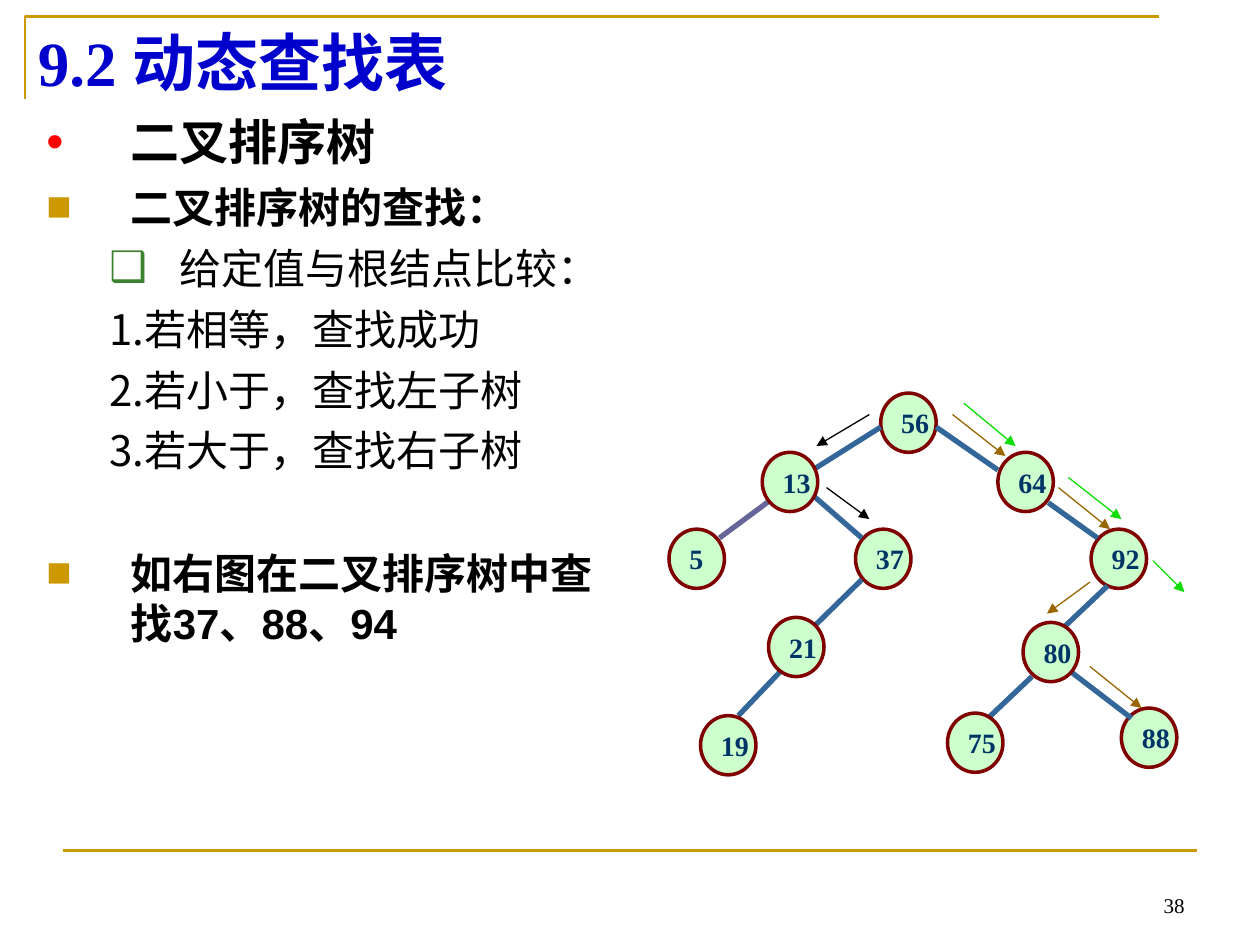
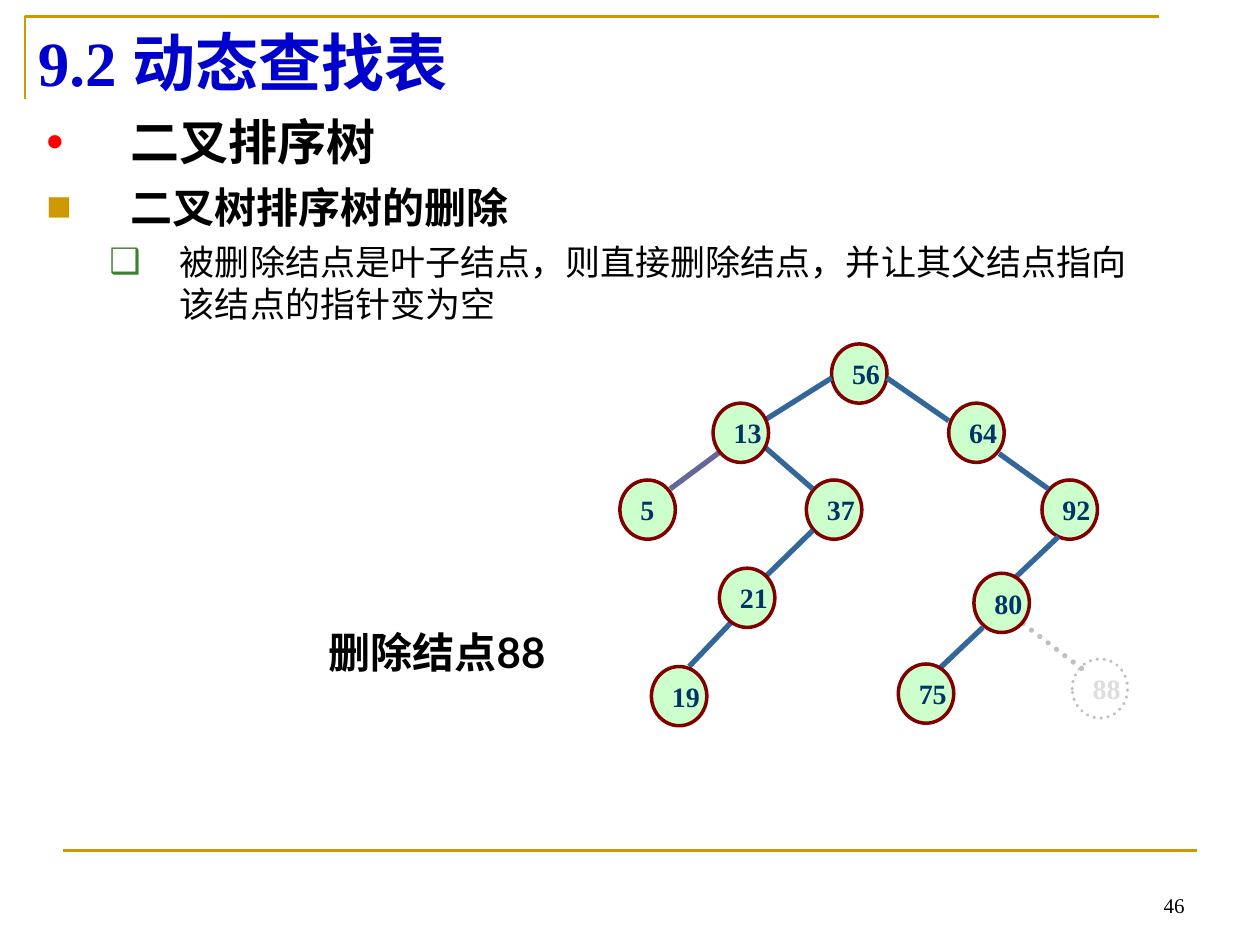
from dataclasses import dataclass

from lxml.etree import SubElement
from pptx import Presentation
from pptx.dml.color import RGBColor
from pptx.enum.dml import MSO_LINE
from pptx.enum.shapes import MSO_CONNECTOR, MSO_SHAPE
from pptx.enum.text import MSO_ANCHOR, PP_ALIGN
from pptx.oxml.ns import qn
from pptx.util import Inches, Pt

COLORS = {
    "gold": "CC9900", "title": "0000CC", "text": "000000", "red": "FF0000",
    "leaf": "3B812F", "node": "CCFFCC", "node_line": "800000",
    "key": "003366", "edge": "336699", "pale_edge": "666699",
    "removed": "C0C0C0", "removed_key": "DDDDDD", "white": "FFFFFF",
    "brown": "996600", "green": "0CDD07",
}
CJK, SERIF, SANS, LABEL = "Noto Sans CJK SC", "Times New Roman", "Arial", "Lato"
NODE_WIDTH, NODE_HEIGHT = 0.44, 0.47
REMOVED_KEY = "88"


@dataclass(frozen=True)
class TextStyle:
    size: int
    font: str = CJK
    bold: bool = True
    color: str = "text"


@dataclass(frozen=True)
class Bullet:
    mark: str
    color: str


@dataclass(frozen=True)
class Item:
    text: str
    style: TextStyle
    bullet: Bullet | None = None
    level: int = 0
    before: float = 6


@dataclass(frozen=True)
class Node:
    key: str
    left: float
    top: float
    over_edges: bool = False


@dataclass(frozen=True)
class Line:
    start: tuple[float, float]
    end: tuple[float, float]
    color: str = "edge"
    child: str = ""


TITLE = TextStyle(36, SERIF, color="title")
PAGE = TextStyle(12, SERIF, bold=False)
TOPIC, SECTION = TextStyle(28), TextStyle(24)
STEP, DETAIL = TextStyle(24, bold=False), TextStyle(20, bold=False)
DOT, SQUARE, BOX = Bullet("•", "red"), Bullet("■", "gold"), Bullet("❑", "leaf")
INDENTS = [(0.67, -0.67), (1.06, -0.56)]

NODES = [
    Node("56", 6.99, 3.12), Node("64", 7.92, 3.59), Node("5", 5.31, 4.2),
    Node("92", 8.66, 4.2), Node("37", 6.79, 4.2), Node("88", 8.9, 5.62),
    Node("19", 5.56, 5.68, True), Node("80", 8.12, 4.94, True),
    Node("21", 6.1, 4.9, True), Node("13", 6.05, 3.59, True),
    Node("75", 7.52, 5.66, True),
]
EDGES = [
    Line((6.99, 3.39), (6.45, 3.73)),
    Line((6.1, 3.98), (5.71, 4.27), "pale_edge"),
    Line((7.43, 3.39), (7.92, 3.73)),
    Line((6.45, 3.93), (6.84, 4.27)),
    Line((6.84, 4.6), (6.36, 5.07)),
    Line((8.32, 3.99), (8.71, 4.27)),
    Line((8.79, 4.65), (8.41, 5.01)),
    Line((8.51, 5.34), (8.98, 5.7), child="88"),
    Line((6.25, 5.27), (5.86, 5.68)),
    Line((8.19, 5.37), (7.81, 5.73)),
]
SEARCH_STEPS = [
    Line((6.9, 3.29), (6.48, 3.54), "text"),
    Line((6.56, 3.87), (6.9, 4.12), "text"),
    Line((7.56, 3.29), (7.98, 3.62), "brown"),
    Line((8.4, 3.87), (8.81, 4.2), "brown"),
    Line((8.65, 5.29), (9.06, 5.62), "brown"),
    Line((8.65, 4.62), (8.31, 4.87), "brown"),
    Line((7.65, 3.2), (8.06, 3.54), "green"),
    Line((8.48, 3.79), (8.9, 4.12), "green"),
    Line((9.15, 4.45), (9.4, 4.7), "green"),
]

SEARCH_ITEMS = [
    Item("二叉排序树", TOPIC, DOT),
    Item("二叉排序树的查找：", SECTION, SQUARE),
    Item("给定值与根结点比较：", STEP, BOX, 1),
    Item("1.若相等，查找成功", STEP, level=1),
    Item("2.若小于，查找左子树", STEP, level=1),
    Item("3.若大于，查找右子树", STEP, level=1),
    Item("如右图在二叉排序树中查找37、88、94", TextStyle(24, SANS), SQUARE, before=41),
]
DELETE_ITEMS = [
    Item("二叉排序树", TOPIC, DOT),
    Item("二叉树排序树的删除", SECTION, SQUARE),
    Item("被删除结点是叶子结点，则直接删除结点，并让其父结点指向该结点的指针变为空",
         DETAIL, BOX, 1, before=5),
]


def rgb(name: str) -> RGBColor:
    return RGBColor.from_string(COLORS[name])


def set_all(target, values: dict) -> None:
    for name, value in values.items():
        setattr(target, name, value)


def add_run(paragraph, text: str, style: TextStyle) -> None:
    run = paragraph.add_run()
    run.text = text
    set_all(run.font, {"size": Pt(style.size), "name": style.font, "bold": style.bold})
    run.font.color.rgb = rgb(style.color)
    east_asian = SubElement(run.font._element, qn("a:ea"))
    east_asian.set("typeface", CJK)


def add_box(slide, left: float, top: float, width: float, height: float,
            anchor=MSO_ANCHOR.TOP):
    frame = slide.shapes.add_textbox(
        Inches(left), Inches(top), Inches(width), Inches(height)).text_frame
    set_all(frame, {"word_wrap": True, "vertical_anchor": anchor})
    return frame


def set_bullet(paragraph, item: Item) -> None:
    left, first = INDENTS[item.level]
    properties = paragraph._p.get_or_add_pPr()
    properties.set("marL", str(Inches(left)))
    properties.set("indent", str(Inches(first)))
    if item.bullet is None:
        SubElement(properties, qn("a:buNone"))
        return
    color = SubElement(properties, qn("a:buClr"))
    SubElement(color, qn("a:srgbClr")).set("val", COLORS[item.bullet.color])
    SubElement(properties, qn("a:buFont")).set("typeface", SANS)
    SubElement(properties, qn("a:buChar")).set("char", item.bullet.mark)


def add_items(slide, items: list[Item], width: float, height: float) -> None:
    frame = add_box(slide, 0.27, 0.84, width, height)
    for index, item in enumerate(items):
        paragraph = frame.add_paragraph() if index else frame.paragraphs[0]
        set_bullet(paragraph, item)
        set_all(paragraph, {"level": item.level,
                            "space_before": Pt(item.before if index else 0),
                            "line_spacing": Pt(item.style.size * 1.2)})
        add_run(paragraph, item.text, item.style)


def add_line(slide, line: Line, width: float, shift: float = 0,
             arrow: bool = False, dotted: bool = False) -> None:
    ends = [Inches(value + shift) for value in (*line.start, *line.end)]
    connector = slide.shapes.add_connector(MSO_CONNECTOR.STRAIGHT, *ends)
    connector.line.width = Pt(width)
    connector.line.color.rgb = rgb("removed" if dotted else line.color)
    properties = connector._element.spPr
    if dotted:
        dot(connector)
    if arrow:
        SubElement(properties.find(qn("a:ln")), qn("a:tailEnd")).set("type", "triangle")
    SubElement(properties, qn("a:effectLst"))


def dot(shape) -> None:
    """Give the outline round dots."""
    shape.line.dash_style = MSO_LINE.ROUND_DOT
    shape._element.spPr.find(qn("a:ln")).set("cap", "rnd")


def add_node(slide, node: Node, shift: float, removed: bool) -> None:
    circle = slide.shapes.add_shape(
        MSO_SHAPE.OVAL, Inches(node.left + shift), Inches(node.top + shift),
        Inches(NODE_WIDTH), Inches(NODE_HEIGHT))
    circle.shadow.inherit = False
    circle.fill.solid()
    circle.fill.fore_color.rgb = rgb("white" if removed else "node")
    circle.line.color.rgb = rgb("removed" if removed else "node_line")
    circle.line.width = Pt(2)
    if removed:
        dot(circle)
    frame = circle.text_frame
    set_all(frame, {"word_wrap": False, "vertical_anchor": MSO_ANCHOR.MIDDLE})
    frame.paragraphs[0].alignment = PP_ALIGN.LEFT
    add_run(frame.paragraphs[0], node.key,
            TextStyle(16, SERIF, color="removed_key" if removed else "key"))


def add_tree(slide, shift: float = 0, removed_key: str = "") -> None:
    """Draw the search tree; some nodes lie below the edges, others above."""
    for over_edges in (False, True):
        for node in NODES:
            if node.over_edges == over_edges:
                add_node(slide, node, shift, node.key == removed_key)
        if not over_edges:
            for edge in EDGES:
                dotted = bool(removed_key) and edge.child == removed_key
                add_line(slide, edge, 3, shift, dotted=dotted)


def add_slide(deck, page: int):
    """Add a slide with the corner rule, footer rule, page number and title."""
    slide = deck.slides.add_slide(deck.slide_layouts[5])
    builder = slide.shapes.build_freeform(Inches(0.2), Inches(0.79))
    builder.add_line_segments(
        [(Inches(0.2), Inches(0.13)), (Inches(9.2), Inches(0.13))], close=False)
    corner = builder.convert_to_shape()
    corner.shadow.inherit = False
    corner.fill.background()
    corner.line.color.rgb = rgb("gold")
    corner.line.width = Pt(1.5)
    add_line(slide, Line((0.5, 6.75), (9.5, 6.75), "gold"), 1.5)

    number = add_box(slide, 7.17, 6.83, 2.33, 0.5, MSO_ANCHOR.BOTTOM).paragraphs[0]
    number.alignment = PP_ALIGN.RIGHT
    add_run(number, str(page), PAGE)

    title = slide.shapes.title
    set_all(title, {"left": Inches(0.2), "top": Inches(0.13),
                    "width": Inches(9), "height": Inches(0.71)})
    title.text_frame.vertical_anchor = MSO_ANCHOR.MIDDLE
    heading = title.text_frame.paragraphs[0]
    heading.alignment = PP_ALIGN.LEFT
    add_run(heading, "9.2 动态查找表", TITLE)
    return slide


def main() -> None:
    deck = Presentation()
    set_all(deck, {"slide_width": Inches(10), "slide_height": Inches(7.5)})

    search = add_slide(deck, 38)
    add_items(search, SEARCH_ITEMS, 4.73, 5.43)
    add_tree(search)
    for step in SEARCH_STEPS:
        add_line(search, step, 0.75, arrow=True)

    deletion = add_slide(deck, 46)
    add_items(deletion, DELETE_ITEMS, 8.9, 4.96)
    add_tree(deletion, -0.39, REMOVED_KEY)
    caption = add_box(deletion, 2.51, 4.92, 2.08, 0.5).paragraphs[0]
    caption.line_spacing = Pt(28.8)
    add_run(caption, "删除结点88", TextStyle(24, LABEL))

    deck.save("out.pptx")


if __name__ == "__main__":
    main()
